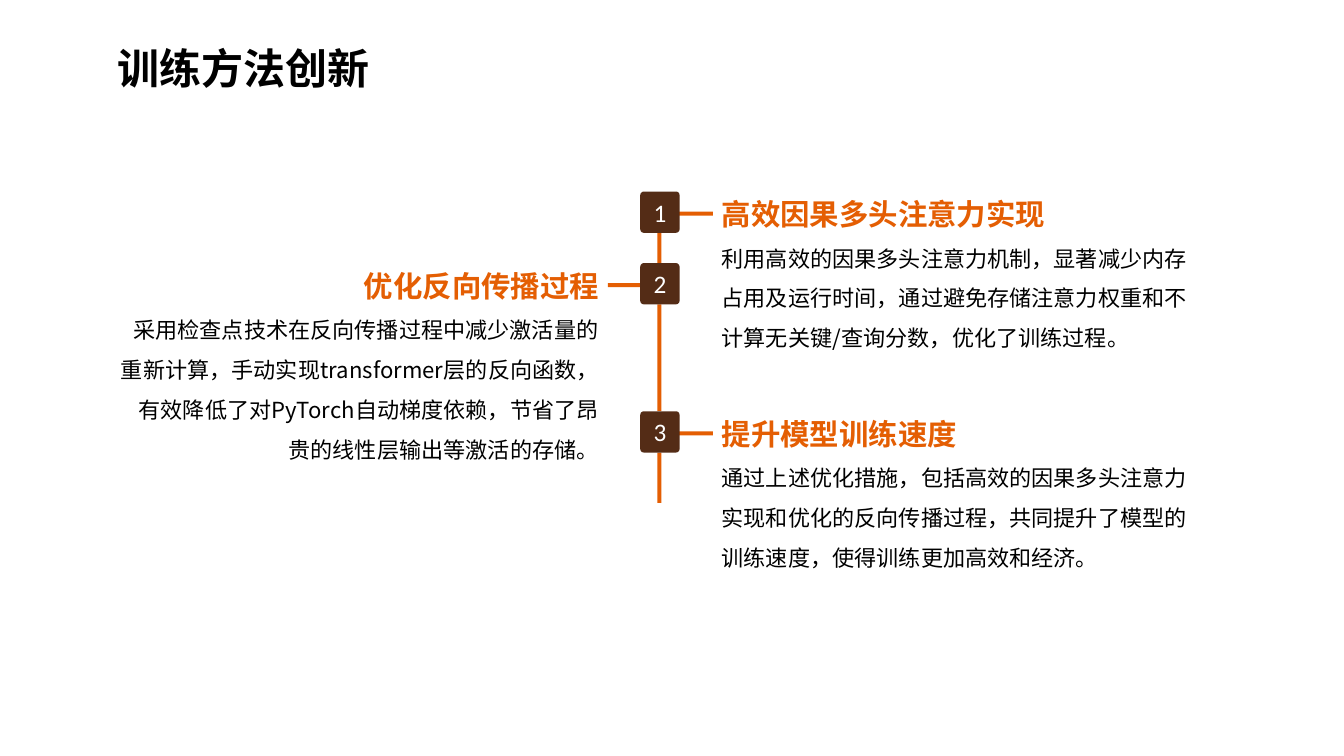
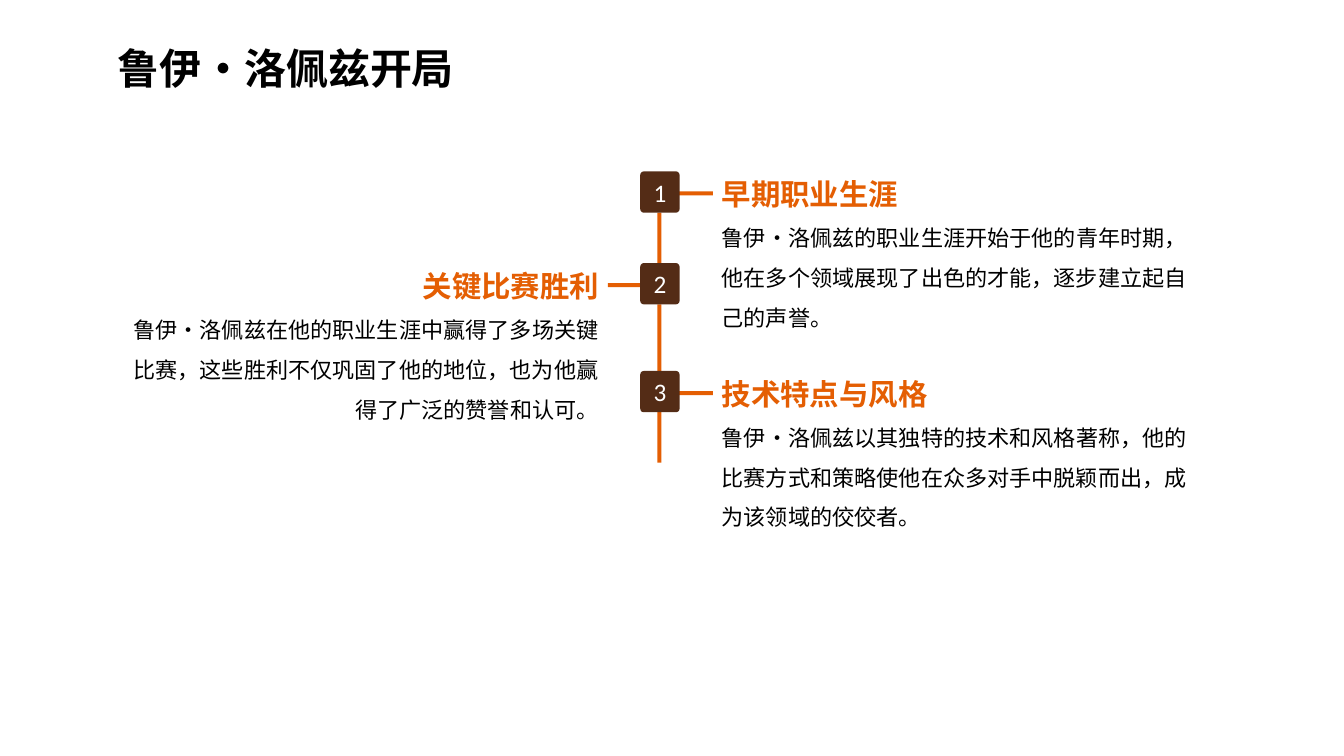
from lxml.etree import SubElement
from pptx import Presentation
from pptx.dml.color import RGBColor
from pptx.enum.shapes import MSO_SHAPE
from pptx.enum.text import MSO_ANCHOR, MSO_AUTO_SIZE, PP_ALIGN
from pptx.oxml.ns import qn
from pptx.util import Inches, Pt

COLORS = {"text": "000000", "accent": "E45E03", "badge": "542C16", "number": "FFFFFF"}
CJK_FONT, NUMBER_FONT = "Noto Sans CJK SC", "Calibri"

# Timeline geometry, in inches
BADGE_LEFT, BADGE_W, BADGE_H = 6.35, 0.39, 0.41
SPINE_LEFT, LINE_W, TAIL = 6.52, 0.04, 0.5
BRANCH_W, BRANCH_DROP = 0.34, 0.2
ENTRY_W, HEADING_H, LINE_H = 4.97, 0.43, 0.4
SIDES = {  # side: text left, branch left, alignment
    "left": (1.07, 6.03, PP_ALIGN.RIGHT),
    "right": (7.06, 6.73, PP_ALIGN.LEFT),
}

# Each entry: side, top, body line count, heading, body
SLIDES = [
    ("训练方法创新", [
        ("right", 1.9, 3, "高效因果多头注意力实现",
         "利用高效的因果多头注意力机制，显著减少内存占用及运行时间，"
         "通过避免存储注意力权重和不计算无关键/查询分数，优化了训练过程。"),
        ("left", 2.61, 4, "优化反向传播过程",
         "采用检查点技术在反向传播过程中减少激活量的重新计算，"
         "手动实现transformer层的反向函数，有效降低了对PyTorch自动梯度依赖，"
         "节省了昂贵的线性层输出等激活的存储。"),
        ("right", 4.08, 3, "提升模型训练速度",
         "通过上述优化措施，包括高效的因果多头注意力实现和优化的反向传播过程，"
         "共同提升了模型的训练速度，使得训练更加高效和经济。"),
    ]),
    ("鲁伊·洛佩兹开局", [
        ("right", 1.7, 3, "早期职业生涯",
         "鲁伊·洛佩兹的职业生涯开始于他的青年时期，"
         "他在多个领域展现了出色的才能，逐步建立起自己的声誉。"),
        ("left", 2.61, 3, "关键比赛胜利",
         "鲁伊·洛佩兹在他的职业生涯中赢得了多场关键比赛，"
         "这些胜利不仅巩固了他的地位，也为他赢得了广泛的赞誉和认可。"),
        ("right", 3.68, 3, "技术特点与风格",
         "鲁伊·洛佩兹以其独特的技术和风格著称，"
         "他的比赛方式和策略使他在众多对手中脱颖而出，成为该领域的佼佼者。"),
    ]),
]


def style(paragraph, size, color, bold=False, name=CJK_FONT, align=PP_ALIGN.LEFT, spacing=1.0):
    paragraph.alignment = align
    paragraph.line_spacing = spacing
    font = paragraph.font
    font.size, font.bold, font.name = Pt(size), bold, name
    font.color.rgb = RGBColor.from_string(COLORS[color])
    # East Asian typeface
    SubElement(paragraph._p.pPr.find(qn("a:defRPr")), qn("a:ea"), typeface=name)


def set_frame(frame):
    frame.word_wrap = True
    frame.vertical_anchor = MSO_ANCHOR.MIDDLE
    frame.auto_size = MSO_AUTO_SIZE.SHAPE_TO_FIT_TEXT


def add_title(slide, text):
    title = slide.shapes.title
    title.left, title.top = Inches(1.07), Inches(0.12)
    title.width, title.height = Inches(10.25), Inches(0.85)
    title.text_frame.text = text
    set_frame(title.text_frame)
    style(title.text_frame.paragraphs[0], 30, "text", bold=True, spacing=1.5)


def add_block(slide, kind, left, top, width, height, color):
    block = slide.shapes.add_shape(kind, Inches(left), Inches(top), Inches(width), Inches(height))
    block.shadow.inherit = False
    block.fill.solid()
    block.fill.fore_color.rgb = RGBColor.from_string(COLORS[color])
    block.line.fill.background()
    return block


def add_badge(slide, top, number):
    badge = add_block(slide, MSO_SHAPE.ROUNDED_RECTANGLE, BADGE_LEFT, top, BADGE_W, BADGE_H, "badge")
    badge.adjustments[0] = 0.09
    frame = badge.text_frame
    frame.margin_left = frame.margin_right = 0
    frame.vertical_anchor = MSO_ANCHOR.MIDDLE
    frame.text = str(number)
    style(frame.paragraphs[0], 18, "number", name=NUMBER_FONT, align=PP_ALIGN.CENTER)


def add_entry_text(slide, left, top, lines, align, heading, body):
    box = slide.shapes.add_textbox(Inches(left), Inches(top), Inches(ENTRY_W),
                                   Inches(HEADING_H + lines * LINE_H))
    frame = box.text_frame
    set_frame(frame)
    frame.text = f"{heading}\n{body}"
    heading_line, body_text = frame.paragraphs
    style(heading_line, 21, "accent", bold=True, align=align)
    style(body_text, 15.8, "text", align=align, spacing=1.5)


def add_timeline(slide, entries):
    tops = [entry[1] for entry in entries]
    # Each spine segment runs to the next badge; the last one is a short tail
    ends = tops[1:] + [tops[-1] + BADGE_H + TAIL]
    for number, (entry, end) in enumerate(zip(entries, ends), 1):
        side, top, lines, heading, body = entry
        text_left, branch_left, align = SIDES[side]
        add_entry_text(slide, text_left, top, lines, align, heading, body)
        spine_top = top + BADGE_H
        add_block(slide, MSO_SHAPE.RECTANGLE, SPINE_LEFT, spine_top, LINE_W, end - spine_top, "accent")
        add_block(slide, MSO_SHAPE.RECTANGLE, branch_left, top + BRANCH_DROP, BRANCH_W, LINE_W, "accent")
        add_badge(slide, top, number)


def main():
    deck = Presentation()
    deck.slide_width, deck.slide_height = Inches(13.33), Inches(7.5)
    title_only = deck.slide_layouts[5]
    for title, entries in SLIDES:
        slide = deck.slides.add_slide(title_only)
        add_title(slide, title)
        add_timeline(slide, entries)
    deck.save("out.pptx")


if __name__ == "__main__":
    main()
